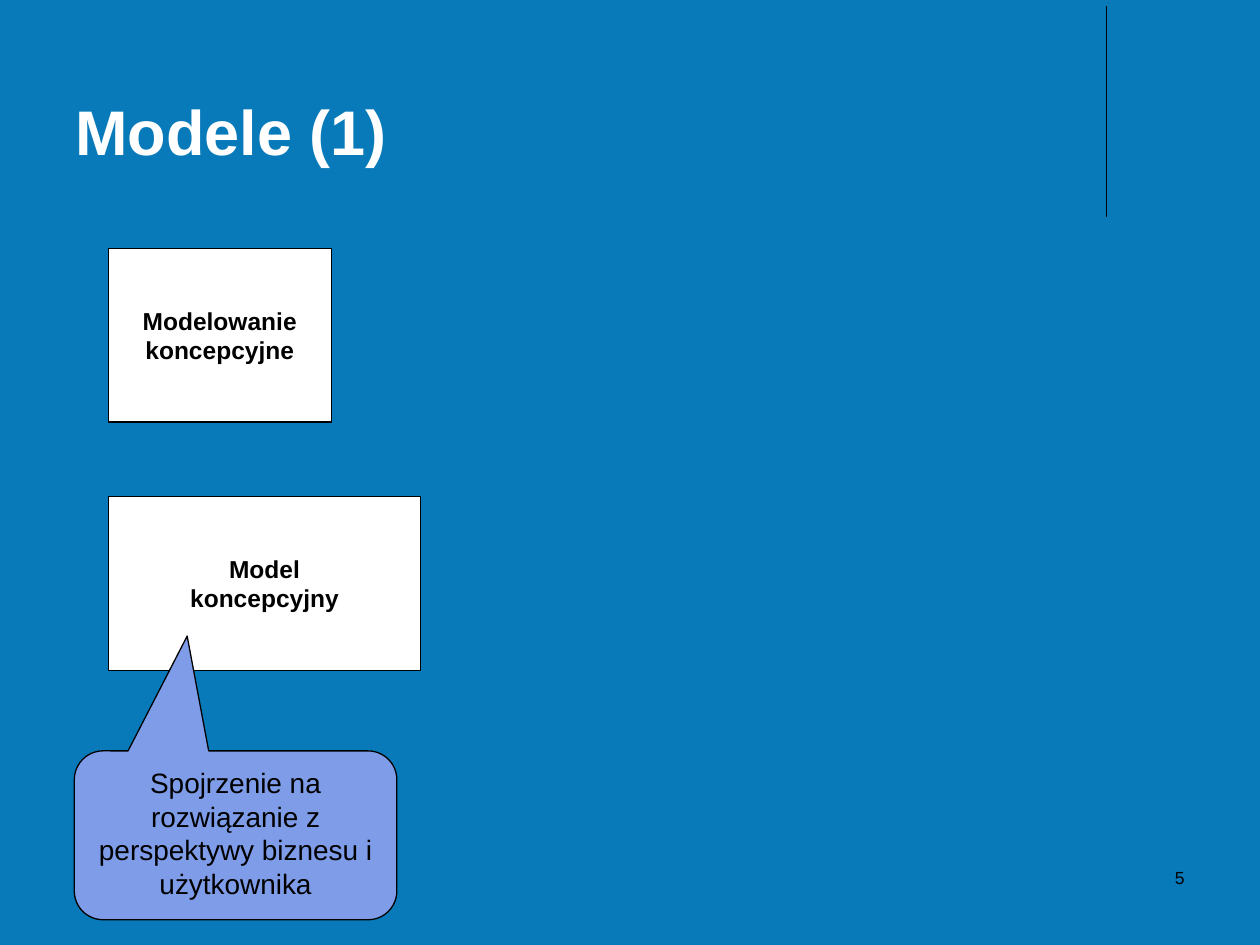
from pptx import Presentation, util as u
from pptx.dml.color import RGBColor
from pptx.enum import shapes, text
from pptx.oxml.ns import qn
from lxml import etree

THEME = {
    "font": "Arial",
    "bg": "097AB9", "white": "FFFFFF", "black": "000000", "callout": "7E9CE8",
    "title": 36, "box": 14, "note": 16, "number": 10,
    "hairline": 0, "rule": 0.75,
}

# Content: text, then left, top, width, height in inches
TITLE = ("Modele (1)", (0.5, 0.13, 8.25, 1.25))
BOX_LEFT, BOX_TOP, BOX_HEIGHT, BOX_STEP = 0.86, 1.97, 1.38, 1.97
BOXES = [("Modelowanie\nkoncepcyjne", 1.77), ("Model\nkoncepcyjny", 2.48)]
NOTE = ("Spojrzenie na rozwiązanie z perspektywy biznesu i użytkownika",
        (0.59, 5.96, 2.56, 1.34))
NOTE_ADJUSTMENTS = (-0.15, -1.18, 0.17)
NUMBER = ("5", (7.17, 6.83, 2.33, 0.5))
RULE = (8.78, 0.05, 8.78, 1.72)


def color(name):
    return RGBColor.from_string(THEME[name])


def inches(values):
    return [u.Inches(v) for v in values]


def write(sp, content, size, fill="black", bold=False,
          align=text.PP_ALIGN.CENTER, anchor=text.MSO_ANCHOR.TOP):
    tf = sp.text_frame
    tf.word_wrap = True
    tf.vertical_anchor = anchor
    p = tf.paragraphs[0]
    p.text = content
    p.alignment = align
    for r in p.runs:
        r.font.name = THEME["font"]
        r.font.size = u.Pt(THEME[size])
        r.font.bold = bold
        r.font.color.rgb = color(fill)


def add_shape(s, kind, at, fill, line):
    sp = s.shapes.add_shape(kind, *inches(at))
    sp.shadow.inherit = False
    sp.fill.solid()
    sp.fill.fore_color.rgb = color(fill)
    sp.line.color.rgb = color("black")
    sp.line.width = u.Pt(THEME[line])
    return sp


def main():
    prs = Presentation()
    prs.slide_width, prs.slide_height = inches((10, 7.5))
    s = prs.slides.add_slide(prs.slide_layouts[6])
    s.background.fill.solid()
    s.background.fill.fore_color.rgb = color("bg")

    # Vertical rule
    rule = s.shapes.add_connector(shapes.MSO_CONNECTOR.STRAIGHT, *inches(RULE))
    rule.line.color.rgb = color("black")
    rule.line.width = u.Pt(THEME["rule"])
    etree.SubElement(rule._element.spPr, qn("a:effectLst"))

    # Title
    content, at = TITLE
    write(s.shapes.add_textbox(*inches(at)), content, "title", fill="white",
          bold=True, align=text.PP_ALIGN.LEFT, anchor=text.MSO_ANCHOR.BOTTOM)

    # Model boxes
    for i, (content, width) in enumerate(BOXES):
        at = (BOX_LEFT, BOX_TOP + i * BOX_STEP, width, BOX_HEIGHT)
        sp = add_shape(s, shapes.MSO_SHAPE.RECTANGLE, at, "white", "hairline")
        write(sp, content, "box", bold=True, anchor=text.MSO_ANCHOR.MIDDLE)

    # Callout
    content, at = NOTE
    sp = add_shape(s, shapes.MSO_SHAPE.ROUNDED_RECTANGULAR_CALLOUT, at,
                   "callout", "rule")
    for i, value in enumerate(NOTE_ADJUSTMENTS):
        sp.adjustments[i] = value
    write(sp, content, "note")

    # Slide number
    content, at = NUMBER
    write(s.shapes.add_textbox(*inches(at)), content, "number",
          align=text.PP_ALIGN.RIGHT)

    prs.save("out.pptx")


if __name__ == "__main__":
    main()
